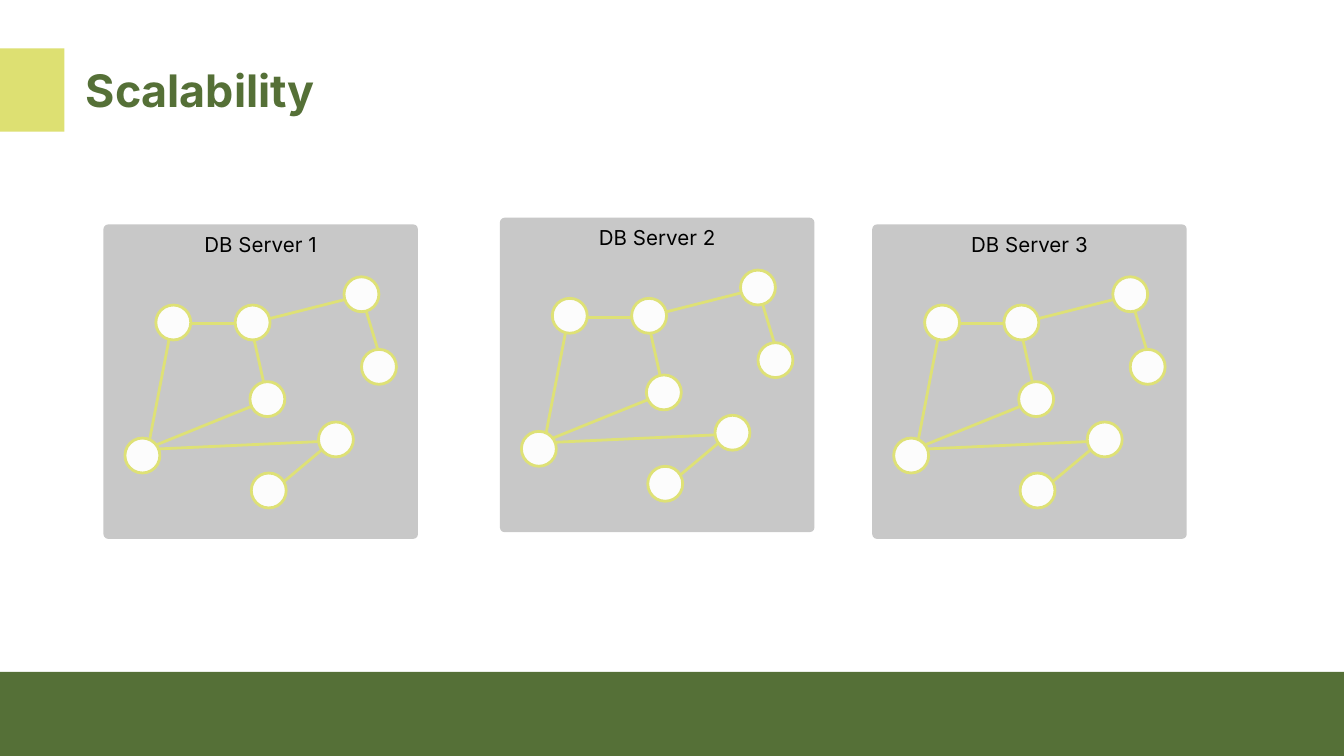
from lxml.etree import SubElement
from pptx import Presentation
from pptx.dml.color import RGBColor
from pptx.enum.shapes import MSO_CONNECTOR as Connector, MSO_SHAPE as Shape
from pptx.enum.text import MSO_ANCHOR as Anchor, PP_ALIGN as Align
from pptx.oxml.ns import qn
from pptx.util import Inches, Pt

# Content
TITLE = "Scalability"
SERVERS = [  # label, left, top
    ("DB Server 1", 0.77, 1.67),
    ("DB Server 2", 3.72, 1.62),
    ("DB Server 3", 6.49, 1.67),
]
# The same graph sits in every server; positions count from its panel's corner
EDGES = [  # from x, y, to x, y
    (1.22, 1.30, 1.09, 0.72),
    (0.52, 0.74, 1.12, 0.74),
    (1.12, 0.73, 1.91, 0.53),
    (0.33, 1.67, 0.51, 0.74),
    (1.73, 1.61, 0.21, 1.68),
    (0.32, 1.67, 1.21, 1.31),
    (2.08, 1.06, 1.92, 0.53),
    (1.24, 2.00, 1.74, 1.58),
]
NODES = [  # left, top
    (0.98, 0.60), (0.16, 1.59), (1.09, 1.17), (0.39, 0.60),
    (1.79, 0.39), (1.92, 0.93), (1.10, 1.85), (1.60, 1.47),
]

# Format: a 16:9 slide
WIDTH = 10
HEIGHT = WIDTH * 9 / 16
PANEL, NODE = 2.34, 0.26
GREEN, LIME, EDGE = "557037", "DDE072", "DEE176"
GREY, WHITE, BLACK = "929292", "FCFCFC", "000000"
TITLE_FONT = {"name": "Inter", "size": Pt(24), "bold": True}
LABEL_FONT = {"name": "Inter", "size": Pt(11)}

deck = Presentation()
deck.slide_width, deck.slide_height = Inches(WIDTH), Inches(HEIGHT)
slide = deck.slides.add_slide(deck.slide_layouts[6])


def rgb(value):
    return RGBColor.from_string(value)


def add_block(kind, left, top, width, height, fill, line=None):
    block = slide.shapes.add_shape(
        kind, Inches(left), Inches(top), Inches(width), Inches(height))
    block.shadow.inherit = False
    block.fill.solid()
    block.fill.fore_color.rgb = rgb(fill)
    if line:
        block.line.color.rgb = rgb(line)
        block.line.width = Pt(1.5)
    else:
        block.line.fill.background()
    return block


def add_edge(x1, y1, x2, y2):
    edge = slide.shapes.add_connector(
        Connector.STRAIGHT, Inches(x1), Inches(y1), Inches(x2), Inches(y2))
    edge.line.color.rgb = rgb(EDGE)
    edge.line.width = Pt(1.5)
    SubElement(edge._element.spPr, qn("a:effectLst"))


def add_text(text, left, top, width, height, font, color):
    box = slide.shapes.add_textbox(
        Inches(left), Inches(top), Inches(width), Inches(height))
    frame = box.text_frame
    frame.word_wrap = True
    run = frame.paragraphs[0].add_run()
    run.text = text
    for name, value in font.items():
        setattr(run.font, name, value)
    run.font.color.rgb = rgb(color)
    return frame


def add_server(label, left, top):
    # Half-transparent panel
    panel = add_block(Shape.ROUNDED_RECTANGLE, left, top, PANEL, PANEL, GREY)
    panel.adjustments[0] = 0.015
    panel_color = panel._element.spPr.find(qn("a:solidFill"))[0]
    SubElement(panel_color, qn("a:alpha"), val="50000")
    # Graph: edges run beneath the nodes
    for x1, y1, x2, y2 in EDGES:
        add_edge(left + x1, top + y1, left + x2, top + y2)
    for x, y in NODES:
        add_block(Shape.OVAL, left + x, top + y, NODE, NODE, WHITE, EDGE)
    # Label
    frame = add_text(label, left, top + 0.04, PANEL, 0.21, LABEL_FONT, BLACK)
    frame.vertical_anchor = Anchor.MIDDLE
    frame.paragraphs[0].alignment = Align.CENTER
    for side in ("left", "top", "right", "bottom"):
        setattr(frame, f"margin_{side}", 0)


# Title accent and footer band
add_block(Shape.RECTANGLE, 0, 0.36, 0.48, 0.62, LIME)
add_block(Shape.RECTANGLE, 0, 5, WIDTH, HEIGHT - 5, GREEN)

# Title and servers
add_text(TITLE, 0.54, 0.42, 7.46, 0.91, TITLE_FONT, GREEN)
for server in SERVERS:
    add_server(*server)

deck.save("out.pptx")
